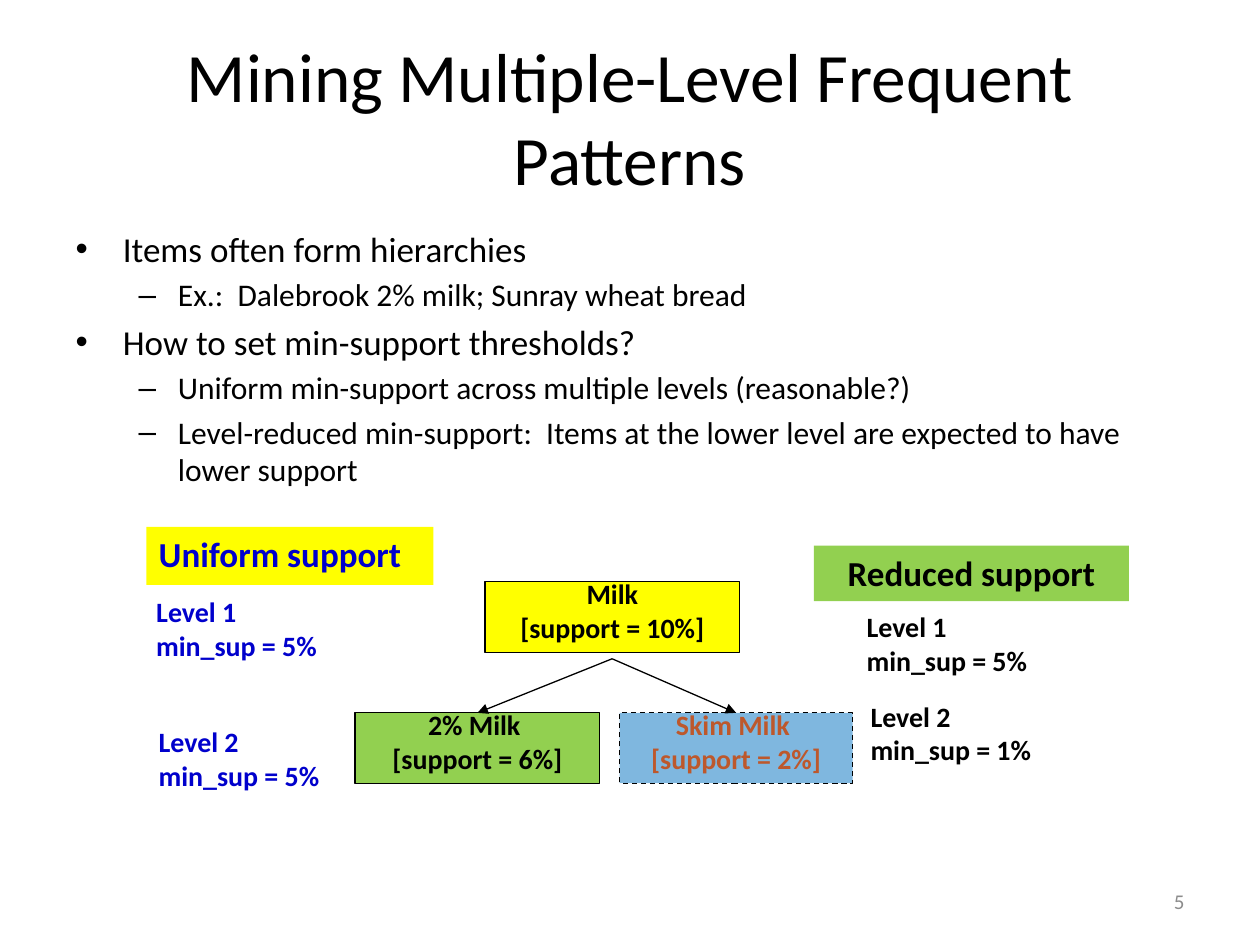
from pptx import Presentation
from pptx import util as u
from pptx.dml.color import RGBColor
from pptx.enum import dml, shapes, text
from pptx.oxml.ns import qn
from lxml import etree

Cm, Pt = u.Cm, u.Pt
FONT = "Calibri"
BLACK = RGBColor(0x00, 0x00, 0x00)
GRAY = RGBColor(0x8C, 0x8C, 0x8C)
NAVY = RGBColor(0x00, 0x00, 0xCC)
YELLOW = RGBColor(0xFF, 0xFF, 0x00)
GREEN = RGBColor(0x92, 0xD0, 0x50)
BLUE = RGBColor(0x00, 0x70, 0xC0)
RUST = RGBColor(0xBD, 0x58, 0x2C)
LEFT, CENTER, RIGHT = text.PP_ALIGN.LEFT, text.PP_ALIGN.CENTER, text.PP_ALIGN.RIGHT


def style(p, size, color, bold=False, align=None):
    if align is not None:
        p.alignment = align
    for r in p.runs:
        r.font.name = FONT
        r.font.size = Pt(size)
        r.font.bold = bold
        r.font.color.rgb = color


def place(sp, x, y, w, h):
    sp.left, sp.top, sp.width, sp.height = Cm(x), Cm(y), Cm(w), Cm(h)


def add_title(s, x, y, w, h):
    sp = s.shapes.title
    place(sp, x, y, w, h)
    tf = sp.text_frame
    tf.text = "Mining Multiple-Level Frequent Patterns"
    tf.auto_size = text.MSO_AUTO_SIZE.NONE
    tf.vertical_anchor = text.MSO_ANCHOR.MIDDLE
    style(tf.paragraphs[0], 39.6, BLACK, align=CENTER)


def add_body(s, x, y, w, h):
    items = [
        (0, "Items often form hierarchies"),
        (1, "Ex.:  Dalebrook 2% milk; Sunray wheat bread"),
        (0, "How to set min-support thresholds?"),
        (1, "Uniform min-support across multiple levels (reasonable?)"),
        (1, "Level-reduced min-support:  Items at the lower level are "
            "expected to have lower support"),
    ]
    sp = s.placeholders[1]
    place(sp, x, y, w, h)
    tf = sp.text_frame
    tf.text = "\n".join(line for _, line in items)
    tf.auto_size = text.MSO_AUTO_SIZE.NONE
    for p, (level, _) in zip(tf.paragraphs, items):
        p.level = level
        style(p, 18 if level else 20, BLACK)


def add_number(s, x, y, w, h):
    tf = s.shapes.add_textbox(Cm(x), Cm(y), Cm(w), Cm(h)).text_frame
    tf.word_wrap = True
    tf.vertical_anchor = text.MSO_ANCHOR.MIDDLE
    tf.text = "5"
    style(tf.paragraphs[0], 12, GRAY, align=RIGHT)


def add_box(s, x, y, w, h, label, size, fill, color, align=CENTER):
    sp = s.shapes.add_shape(shapes.MSO_SHAPE.RECTANGLE, Cm(x), Cm(y), Cm(w), Cm(h))
    sp.shadow.inherit = False
    sp.fill.solid()
    sp.fill.fore_color.rgb = fill
    sp.line.fill.background()
    tf = sp.text_frame
    tf.word_wrap = True
    tf.vertical_anchor = text.MSO_ANCHOR.TOP
    tf.text = label
    for p in tf.paragraphs:
        style(p, size, color, True, align)
    return sp


def add_support(s, x, y, w, h, label, fill, color, align, levels):
    add_box(s, x, y, w, h, label, 20, fill, color, align)
    for number, (dx, dy, support) in enumerate(levels, 1):
        sp = s.shapes.add_textbox(Cm(x + dx), Cm(y + dy), Cm(3.89), Cm(1.63))
        tf = sp.text_frame
        tf.word_wrap = False
        tf.text = f"Level {number}\nmin_sup = {support}"
        for p in tf.paragraphs:
            style(p, 16, color, True, LEFT)


def add_node(s, x, y, w, h, name, support, fill, color=BLACK):
    sp = add_box(s, x, y, w, h, f"{name}\n[support = {support}]", 16, fill, color)
    sp.line.color.rgb = BLACK
    sp.line.width = Pt(0.75)
    for p in sp.text_frame.paragraphs:
        p.line_spacing = 0.6
        p.space_before = Pt(8)
    return sp


def add_arrow(s, x, y, node):
    c = s.shapes.add_connector(shapes.MSO_CONNECTOR.STRAIGHT, Cm(x), Cm(y),
                               node.left + node.width // 2, node.top)
    c.end_connect(node, 0)
    c.line.color.rgb = BLACK
    c.line.width = Pt(0.75)
    etree.SubElement(c.line._get_or_add_ln(), qn("a:tailEnd"), type="triangle")
    etree.SubElement(c._element.spPr, qn("a:effectLst"))


def add_tree(s, x, y, w, h):
    node_h = 1.42
    low = y + h - node_h
    add_node(s, x + 2.62, y, 5.13, node_h, "Milk", "10%", YELLOW)
    low_fat = add_node(s, x, low, 4.93, node_h, "2% Milk ", "6%", GREEN)
    skim = add_node(s, x + w - 4.7, low, 4.7, node_h, "Skim Milk ", "2%", BLUE, RUST)
    skim.line.dash_style = dml.MSO_LINE.DASH
    rgb = skim._element.spPr.find(qn("a:solidFill")).find(qn("a:srgbClr"))
    etree.SubElement(rgb, qn("a:alpha"), val="50000")
    for child in (low_fat, skim):
        add_arrow(s, x + 5.18, y + 1.55, child)


def main():
    prs = Presentation()
    prs.slide_width, prs.slide_height = Cm(25.4), Cm(19.05)
    s = prs.slides.add_slide(prs.slide_layouts[1])
    add_title(s, 1.27, 0.76, 22.86, 3.18)
    add_body(s, 1.27, 4.45, 22.86, 12.57)
    add_number(s, 18.21, 17.65, 5.92, 1.02)
    add_support(s, 2.95, 10.62, 5.79, 1.17, "Uniform support", YELLOW, NAVY, LEFT,
                [(-0.05, 1.24, "5%"), (0, 3.86, "5%")])
    add_support(s, 16.41, 11, 6.35, 1.12, "Reduced support", GREEN, BLACK, CENTER,
                [(0.81, 1.17, "5%"), (0.89, 2.97, "1%")])
    add_tree(s, 7.16, 11.73, 10.03, 4.06)
    prs.save("out.pptx")


if __name__ == "__main__":
    main()
